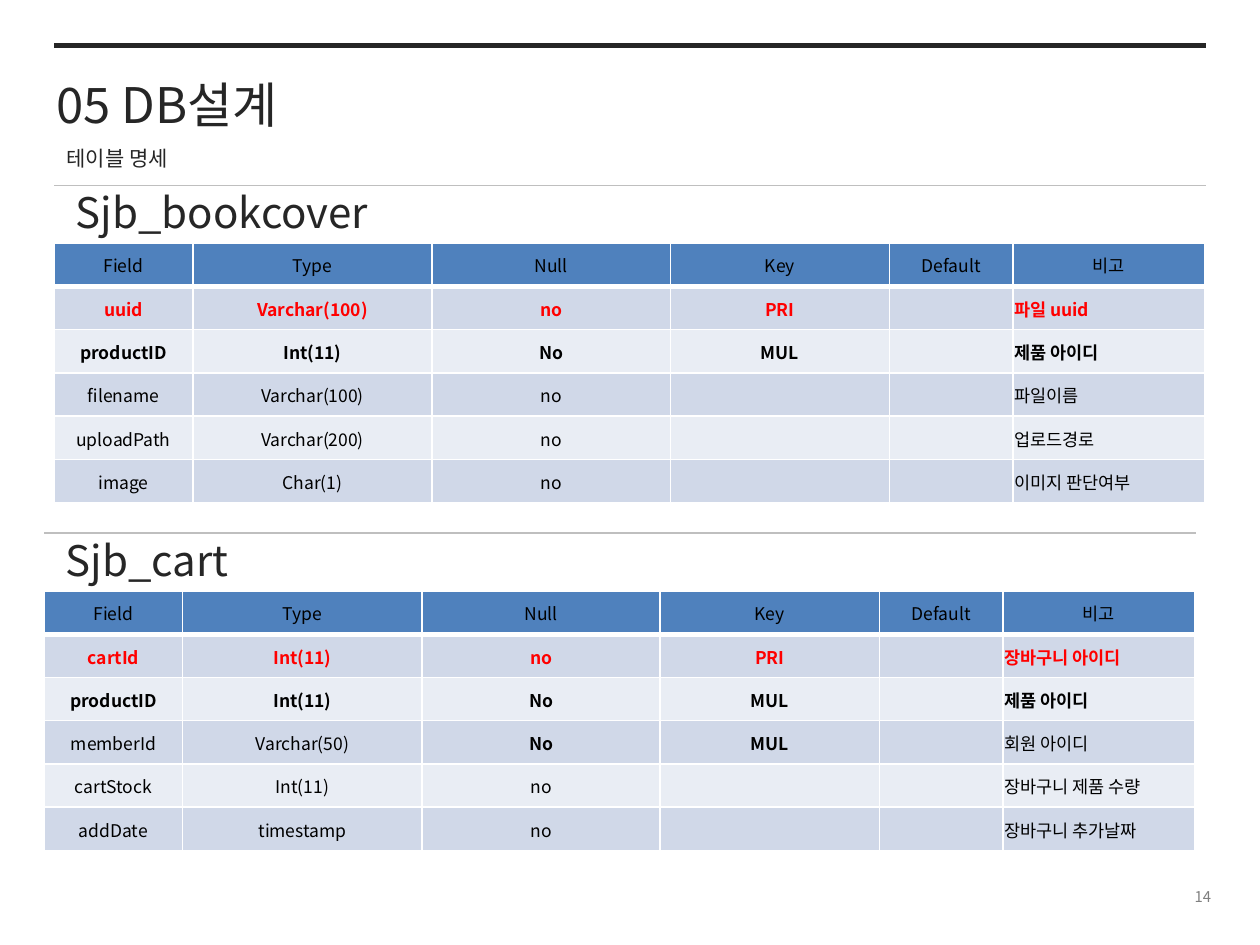
import lxml.etree
import pptx
import pptx.dml.color
import pptx.enum.shapes
import pptx.enum.text
import pptx.oxml
import pptx.oxml.ns
import pptx.util

Inches = pptx.util.Inches
Pt = pptx.util.Pt
Align = pptx.enum.text.PP_ALIGN
Anchor = pptx.enum.text.MSO_ANCHOR
qn = pptx.oxml.ns.qn
FONT = "Noto Sans CJK KR"


def color(value):
    return pptx.dml.color.RGBColor.from_string(value)


def write(text_frame, text, size=10, fill="262626", bold=False, align=Align.LEFT, spacing=None):
    paragraph = text_frame.paragraphs[0]
    paragraph.alignment = align
    if spacing:
        paragraph.line_spacing = Pt(spacing)
    run = paragraph.add_run()
    run.text = text
    run.font.name = FONT
    run.font.size = Pt(size)
    run.font.bold = bold
    run.font.color.rgb = color(fill)
    east_asian = lxml.etree.SubElement(run.font._element, qn("a:ea"))
    east_asian.set("typeface", FONT)


presentation = pptx.Presentation()
presentation.slide_width = Inches(10)
presentation.slide_height = Inches(7.5)
slide = presentation.slides.add_slide(presentation.slide_layouts[6])

rules = [
    (0.43, 0.36, "262626", 3),
    (0.43, 1.47, "BFBFBF", 0.75),
    (0.35, 4.23, "BFBFBF", 0.75),
]
for left, top, line_color, width in rules:
    rule = slide.shapes.add_connector(
        pptx.enum.shapes.MSO_CONNECTOR.STRAIGHT,
        Inches(left), Inches(top), Inches(left + 9.14), Inches(top),
    )
    rule.line.color.rgb = color(line_color)
    rule.line.width = Pt(width)
    lxml.etree.SubElement(rule._element.spPr, qn("a:effectLst"))

texts = [
    ("05 DB설계", (0.35, 0.54, 7.56, 0.57), {"size": 28}),
    ("테이블 명세", (0.43, 1.08, 7.56, 0.31), {"size": 12, "spacing": 16}),
    (" Sjb_bookcover", (0.43, 1.43, 5.75, 0.5), {"size": 24}),
    (" Sjb_cart", (0.35, 4.19, 5.75, 0.5), {"size": 24}),
]
for text, box, text_format in texts:
    shape = slide.shapes.add_textbox(*[Inches(length) for length in box])
    shape.text_frame.word_wrap = True
    shape.text_frame.auto_size = pptx.enum.text.MSO_AUTO_SIZE.SHAPE_TO_FIT_TEXT
    write(shape.text_frame, text, **text_format)

page_number = slide.shapes.add_textbox(Inches(7.6), Inches(6.98), Inches(2.11), Inches(0.27))
page_number.text_frame.word_wrap = True
page_number.text_frame.vertical_anchor = Anchor.MIDDLE
write(page_number.text_frame, "14", size=8.5, fill="808080", align=Align.RIGHT)

column_widths = [1.1, 1.9, 1.89, 1.74, 0.98, 1.52]
row_height = 2.06 / 6
header = ["Field", "Type", "Null", "Key", "Default", "비고"]
bookcover_rows = [
    ["uuid", "Varchar(100)", "no", "PRI", "", "파일 uuid"],
    ["productID", "Int(11)", "No", "MUL", "", "제품 아이디"],
    ["filename", "Varchar(100)", "no", "", "", "파일이름"],
    ["uploadPath", "Varchar(200)", "no", "", "", "업로드경로"],
    ["image", "Char(1)", "no", "", "", "이미지 판단여부"],
]
cart_rows = [
    ["cartId", "Int(11)", "no", "PRI", "", "장바구니 아이디"],
    ["productID", "Int(11)", "No", "MUL", "", "제품 아이디"],
    ["memberId", "Varchar(50)", "No", "MUL", "", "회원 아이디"],
    ["cartStock", "Int(11)", "no", "", "", "장바구니 제품 수량"],
    ["addDate", "timestamp", "no", "", "", "장바구니 추가날짜"],
]

for left, top, body in [(0.43, 1.93, bookcover_rows), (0.35, 4.69, cart_rows)]:
    rows = [header] + body
    table = slide.shapes.add_table(
        len(rows), len(header), Inches(left), Inches(top),
        Inches(sum(column_widths)), Inches(row_height * len(rows)),
    ).table
    for column, width in zip(table.columns, column_widths):
        column.width = Inches(width)
    for row_index, values in enumerate(rows):
        table.rows[row_index].height = Inches(row_height)
        if row_index == 0:
            row_fill = "4F81BD"
        else:
            row_fill = "D0D8E8" if row_index % 2 else "E9EDF4"
        for column_index, value in enumerate(values):
            cell = table.cell(row_index, column_index)
            cell.fill.solid()
            cell.fill.fore_color.rgb = color(row_fill)
            cell.vertical_anchor = Anchor.MIDDLE
            cell.margin_left = cell.margin_right = cell.margin_top = Inches(0.01)
            cell.margin_bottom = Inches(0)
            is_note = row_index > 0 and column_index == len(header) - 1
            write(
                cell.text_frame, value,
                fill="FF0000" if row_index == 1 else "000000",
                bold=row_index in (1, 2) or value in ("No", "MUL"),
                align=Align.LEFT if is_note else Align.CENTER,
            )
            border_widths = {
                "lnL": 1,
                "lnR": 1,
                "lnT": 3 if row_index == 1 else 1,
                "lnB": 3 if row_index == 0 else 1,
            }
            properties = cell._tc.get_or_add_tcPr()
            for position, (side, width) in enumerate(border_widths.items()):
                border = pptx.oxml.parse_xml(
                    f'<a:{side} xmlns:a="http://schemas.openxmlformats.org/drawingml/2006/main" '
                    f'w="{Pt(width)}"><a:solidFill><a:srgbClr val="FFFFFF"/></a:solidFill></a:{side}>'
                )
                properties.insert(position, border)

presentation.save("out.pptx")
